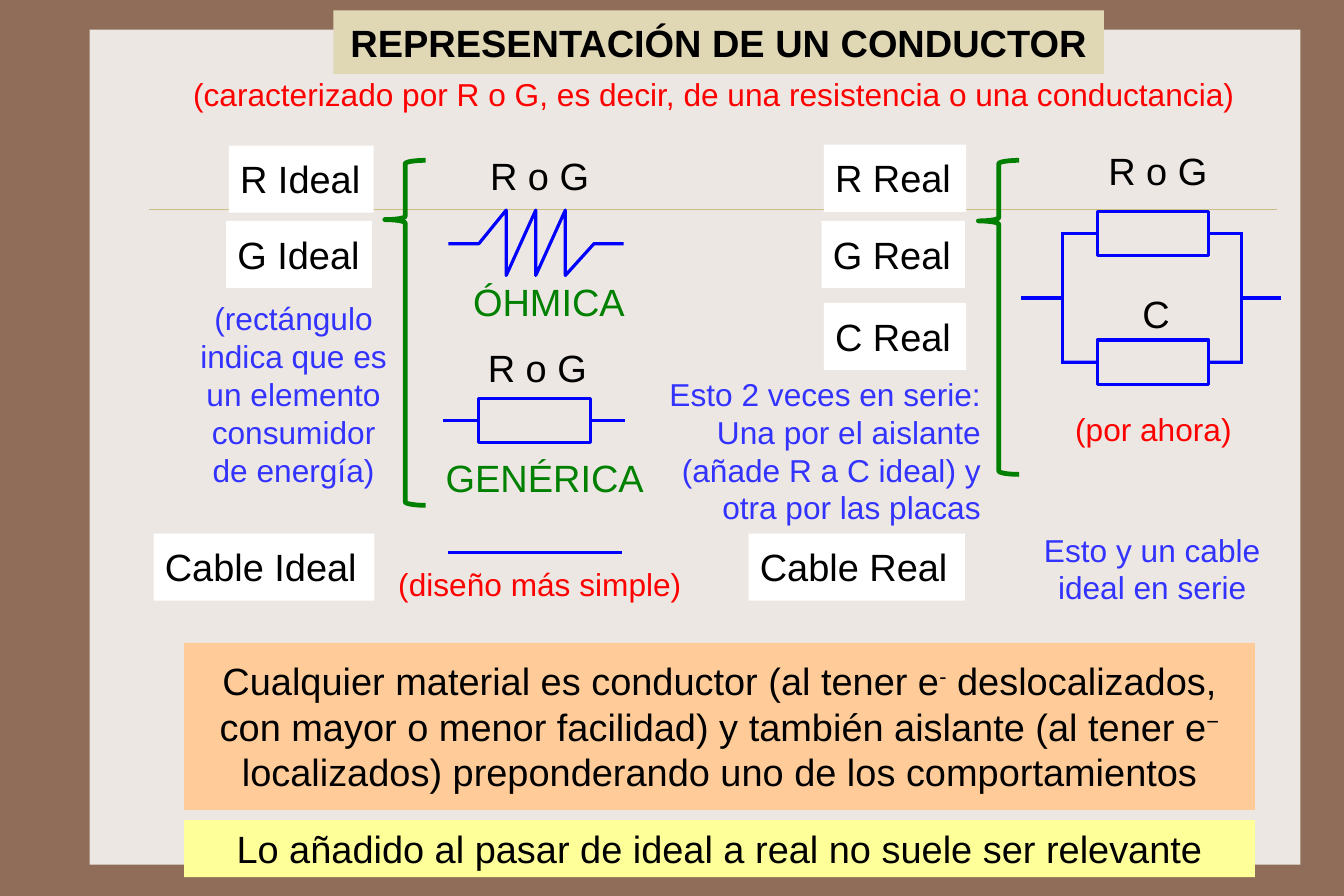
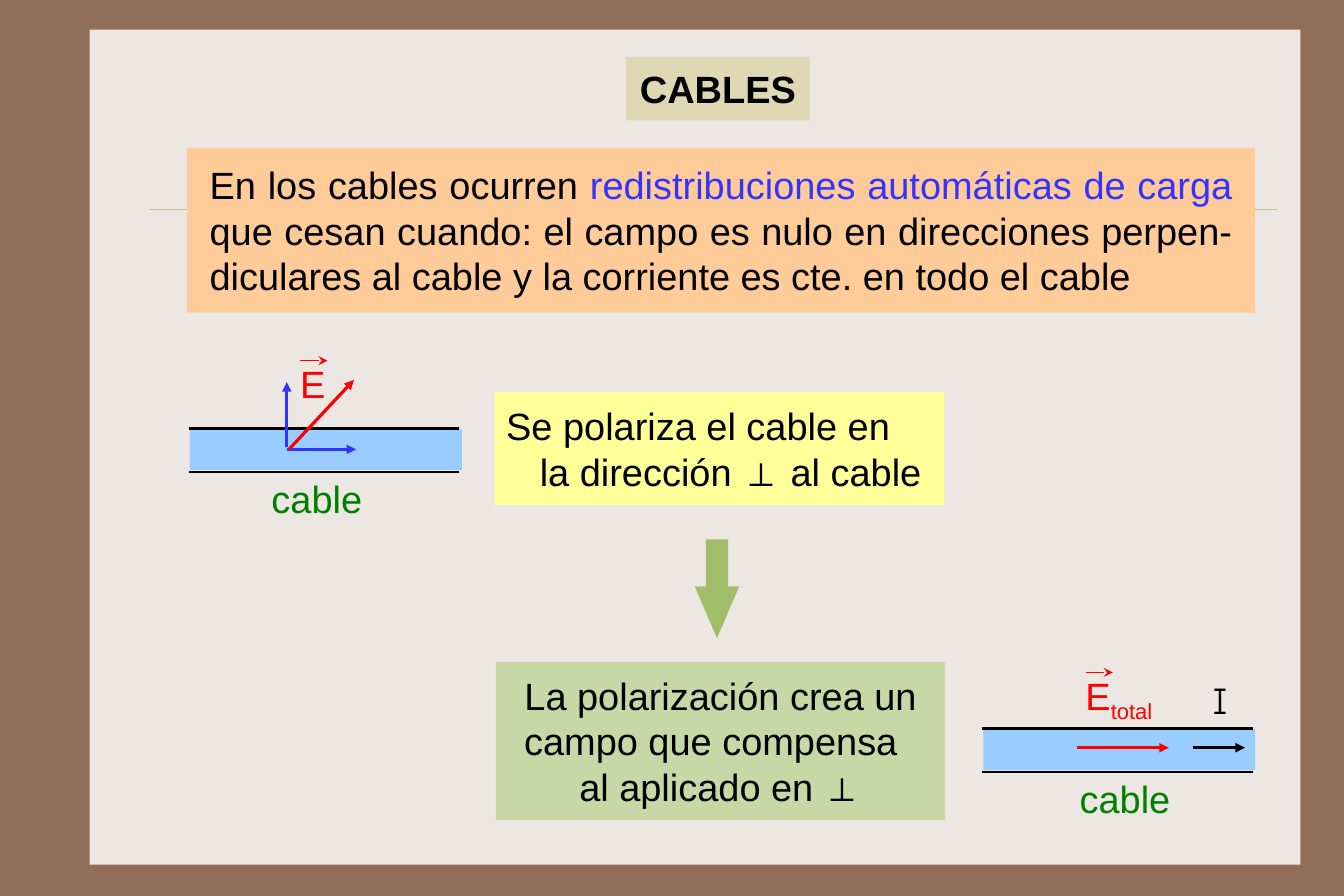
from dataclasses import dataclass
from typing import Optional

from lxml import etree
from pptx import Presentation
from pptx.dml.color import RGBColor
from pptx.enum.shapes import MSO_CONNECTOR, MSO_SHAPE
from pptx.enum.text import MSO_ANCHOR, MSO_AUTO_SIZE, PP_ALIGN
from pptx.oxml.ns import qn
from pptx.util import Cm, Pt

RECT, BRACE, DOWN_ARROW = MSO_SHAPE.RECTANGLE, MSO_SHAPE.LEFT_BRACE, MSO_SHAPE.DOWN_ARROW
STRAIGHT = MSO_CONNECTOR.STRAIGHT
LEFT, CENTER, RIGHT, JUSTIFY = PP_ALIGN.LEFT, PP_ALIGN.CENTER, PP_ALIGN.RIGHT, PP_ALIGN.JUSTIFY
TOP, MIDDLE = MSO_ANCHOR.TOP, MSO_ANCHOR.MIDDLE
LEFT_SIDE, RIGHT_SIDE = 1, 3

FRAME, PANEL, RULE, TITLE_BAND = "906D58", "EDE7E3", "CBBD83", "E0D7B5"
BLACK, WHITE, RED, GREEN = "000000", "FFFFFF", "FF0000", "008000"
WIRE, NOTE, WATER = "0000FF", "3333FF", "99CCFF"
ORANGE, YELLOW, PALE_GREEN, ARROW_GREEN = "FFCC99", "FFFF99", "C7D7A5", "A1BD69"
TEXT_INS, TIGHT_INS, TITLE_INS = (0.25, 0.23), (0.25, 0.13), (0.3, 0.2)
LINE_H = {24: 1.5, 20: 1.32}
SLIDE_W, SLIDE_H = 30, 20


@dataclass
class Run:
    text: str
    color: Optional[str] = None
    baseline: int = 0


@dataclass
class Para:
    runs: list[Run]
    align: Optional[PP_ALIGN] = None
    indent: float = 0


@dataclass
class Label:
    text: str
    x: float
    y: float
    w: float
    color: str = BLACK
    size: int = 24
    fill: Optional[str] = None


def rgb(color: str) -> RGBColor:
    return RGBColor.from_string(color)


def as_paras(text) -> list[Para]:
    """Accept a string (one paragraph a line), a list of runs or a list of paragraphs."""
    if isinstance(text, str):
        return [Para([Run(line)]) for line in text.split("\n")]
    return [Para(text)] if isinstance(text[0], Run) else text


def write(sp, text, *, size=24, color=BLACK, font="Arial", bold=False, align=LEFT,
          anchor=TOP, ins=TEXT_INS, wrap=False) -> None:
    tf = sp.text_frame
    tf.auto_size, tf.word_wrap, tf.vertical_anchor = MSO_AUTO_SIZE.NONE, wrap, anchor
    tf.margin_left = tf.margin_right = Cm(ins[0])
    tf.margin_top = tf.margin_bottom = Cm(ins[1])
    for i, para in enumerate(as_paras(text)):
        p = tf.add_paragraph() if i else tf.paragraphs[0]
        p.alignment = para.align or align
        p.space_before = Pt(0)
        if para.indent:
            pPr = p._p.get_or_add_pPr()
            pPr.set("marL", str(Cm(para.indent)))
            pPr.set("indent", "0")
        for run in para.runs:
            r = p.add_run()
            r.text = run.text
            r.font.size, r.font.name, r.font.bold = Pt(size), font, bold
            r.font.color.rgb = rgb(run.color or color)
            if run.baseline:
                r._r.get_or_add_rPr().set("baseline", str(run.baseline * 1000))


def paint(sp, fill=None, line=None, width=2.0) -> None:
    sp.shadow.inherit = False
    if fill:
        sp.fill.solid()
        sp.fill.fore_color.rgb = rgb(fill)
    else:
        sp.fill.background()
    if line:
        sp.line.color.rgb = rgb(line)
        sp.line.width = Pt(width)
    else:
        sp.line.fill.background()


def add_shape(s, kind, x, y, w, h, *, adj=(), **look):
    sp = s.shapes.add_shape(kind, Cm(x), Cm(y), Cm(w), Cm(h))
    for i, value in enumerate(adj):
        sp.adjustments[i] = value
    paint(sp, **look)
    return sp


def add_text(s, text, x, y, w, h, *, fill=None, **fmt) -> None:
    if fill:
        sp = add_shape(s, RECT, x, y, w, h, fill=fill)
    else:
        sp = s.shapes.add_textbox(Cm(x), Cm(y), Cm(w), Cm(h))
    write(sp, text, **fmt)


def add_labels(s, labels: list[Label]) -> None:
    for lb in labels:
        add_text(s, lb.text, lb.x, lb.y, lb.w, LINE_H[lb.size],
                 size=lb.size, color=lb.color, fill=lb.fill)


def add_line(s, x1, y1, x2, y2, color, width=2.0, tail=None):
    c = s.shapes.add_connector(STRAIGHT, Cm(x1), Cm(y1), Cm(x2), Cm(y2))
    c.line.color.rgb = rgb(color)
    c.line.width = Pt(width)
    spPr = c._element.spPr
    if tail:
        etree.SubElement(spPr.find(qn("a:ln")), qn("a:tailEnd"), type=tail)
    etree.SubElement(spPr, qn("a:effectLst"))
    return c


def add_frame(s) -> None:
    """Put the background, panel and rule on the layout that the slides share."""
    layout = s.slide_layout
    layout.background.fill.solid()
    layout.background.fill.fore_color.rgb = rgb(FRAME)
    panel = add_shape(s, RECT, 2, 0.66, 27.03, 18.64, fill=PANEL)
    rule = add_line(s, 3.33, 4.67, 28.5, 4.67, RULE, 0.25)
    for i, sp in enumerate((panel, rule)):
        layout.shapes.element.insert(2 + i, sp._element)


def add_title(s, text: str, x, y, w) -> None:
    sp = s.shapes.title
    sp.left, sp.top, sp.width, sp.height = Cm(x), Cm(y), Cm(w), Cm(1.42)
    sp.fill.solid()
    sp.fill.fore_color.rgb = rgb(TITLE_BAND)
    write(sp, text, bold=True, align=CENTER, anchor=MIDDLE, ins=TITLE_INS)


def add_resistor(s, x, y, wire_left, wire_right) -> float:
    """Draw a box with a lead on each side; return the height of the leads."""
    w, h = 2.49, 0.99
    box = add_shape(s, RECT, x, y, w, h, fill=PANEL, line=WIRE)
    mid = y + h / 2
    for side, start, end in ((LEFT_SIDE, x, wire_left), (RIGHT_SIDE, x + w, wire_right)):
        add_line(s, start, mid, end, mid, WIRE).begin_connect(box, side)
    return mid


def add_zigzag(s) -> None:
    axis, top, bottom = 5.44, 4.69, 6.15
    points = [(10.69, axis)]
    for i in range(3):
        x = 11.3 + 0.66 * i
        points += [(x, top), (x, bottom)]
    points += [(13.26, axis), (13.92, axis)]
    fb = s.shapes.build_freeform(Cm(10.01), Cm(axis))
    fb.add_line_segments([(Cm(x), Cm(y)) for x, y in points], close=False)
    paint(fb.convert_to_shape(), line=WIRE)


def add_parallel_circuit(s) -> None:
    left, right, overlap = 23.72, 27.71, 0.03
    upper, lower = (add_resistor(s, 24.49, y, left, right) for y in (4.72, 7.59))
    mid = (upper + lower) / 2
    for bus, end in ((left, 22.78), (right, 28.6)):
        add_line(s, bus, upper - overlap, bus, lower + overlap, WIRE)
        add_line(s, bus, mid, end, mid, WIRE)


def add_cable(s, x, y, label_dx) -> None:
    add_shape(s, RECT, x, y, 6.07, 0.91, fill=WATER)
    for dy in (-0.04, -0.01, 0.95):
        add_line(s, x - 0.03, y + dy, x + 6.01, y + dy, BLACK, 1)
    add_text(s, "cable", x + label_dx, y + 0.9, 2.57, 1.27, color=GREEN, ins=TIGHT_INS)


def add_vector_name(s, runs: list[Run], x, y, w) -> None:
    add_text(s, runs, x, y, w, LINE_H[24], color=RED)
    add_line(s, x + 0.25, y + 0.23, x + 0.86, y + 0.23, RED, 1, "stealth")


def conductor_slide(s) -> None:
    add_title(s, "REPRESENTACIÓN DE UN CONDUCTOR", 7.44, 0.23, 17.2)
    add_text(s, [Run("Cualquier material es conductor (al tener e"), Run("-", baseline=30),
                 Run(" deslocalizados, con mayor o menor facilidad) y también aislante (al tener e"),
                 Run("−", baseline=30),
                 Run(" localizados) preponderando uno de los comportamientos")],
             4.11, 14.35, 23.9, 3.73, fill=ORANGE, align=CENTER, ins=(0.25, 0.33), wrap=True)
    add_text(s, "Lo añadido al pasar de ideal a real no suele ser relevante",
             4.11, 18.31, 23.9, 1.27, fill=YELLOW, align=CENTER, anchor=MIDDLE,
             ins=TIGHT_INS, wrap=True)
    add_zigzag(s)
    add_resistor(s, 10.69, 8.89, 9.88, 13.94)
    add_line(s, 10.01, 12.34, 13.89, 12.34, WIRE)
    add_parallel_circuit(s)
    for x, h, tip in ((8.59, 7.7, 0.172), (21.84, 7.01, 0.193)):
        add_shape(s, BRACE, x, 3.58, 0.91, h, adj=(0.083, tip), line=GREEN, width=3)
    add_labels(s, [
        Label("R Ideal", 5.11, 3.25, 3.23, fill=WHITE),
        Label("G Ideal", 5.05, 4.93, 3.25, fill=WHITE),
        Label("Cable Ideal", 3.43, 11.91, 4.93, fill=WHITE),
        Label("R Real", 18.39, 3.23, 3.18, fill=WHITE),
        Label("G Real", 18.34, 4.93, 3.2, fill=WHITE),
        Label("C Real", 18.39, 6.76, 3.18, fill=WHITE),
        Label("Cable Real", 16.71, 11.91, 4.83, fill=WHITE),
        Label("R o G", 10.69, 3.18, 2.74),
        Label("R o G", 10.64, 7.47, 2.74),
        Label("R o G", 24.49, 3.07, 2.74),
        Label("C", 25.25, 6.25, 1.12),
        Label("ÓHMICA", 10.31, 5.99, 3.94, GREEN),
        Label("GENÉRICA", 9.7, 9.91, 4.98, GREEN),
        Label("(por ahora)", 23.75, 8.92, 4.01, RED, 20),
        Label("(diseño más simple)", 8.64, 12.37, 6.88, RED, 20),
        Label("(caracterizado por R o G, es decir, de una resistencia o una conductancia)",
              4.06, 1.45, 23.93, RED, 20),
    ])
    note = dict(size=20, color=NOTE, wrap=True)
    add_text(s, "(rectángulo indica que es un elemento consumidor de energía)",
             4.14, 6.45, 4.83, 4.75, align=CENTER, **note)
    add_text(s, "Esto 2 veces en serie:\nUna por el aislante\n(añade R a C ideal) y\n"
             "otra por las placas", 14.63, 8.13, 7.52, 3.89, align=RIGHT, **note)
    add_text(s, "Esto y un cable ideal en serie", 22.71, 11.61, 6.02, 2.18,
             align=CENTER, **note)


def cables_slide(s) -> None:
    add_title(s, "CABLES", 13.97, 1.27, 4.11)
    add_text(s, [Run("En los cables ocurren "),
                 Run("redistribuciones automáticas de carga", NOTE),
                 Run(" que cesan cuando: el campo es nulo en direcciones perpen-diculares"
                     " al cable y la corriente es cte. en todo el cable")],
             4.17, 3.3, 23.85, 3.68, fill=ORANGE, align=JUSTIFY, anchor=MIDDLE,
             ins=(0.51, 0.3), wrap=True)
    add_text(s, [Para([Run("Se polariza el cable en")]),
                 Para([Run("la dirección ⊥ al cable")], indent=0.75)],
             11.05, 8.76, 10.03, 2.51, fill=YELLOW, wrap=True)
    add_shape(s, DOWN_ARROW, 15.51, 12.04, 0.99, 2.21, adj=(0.5, 1.169), fill=ARROW_GREEN)
    add_text(s, [Para([Run("La polarización crea un")]),
                 Para([Run("campo que compensa")], LEFT, 0.38),
                 Para([Run("al aplicado en ⊥")])],
             11.07, 14.78, 10.03, 3.53, fill=PALE_GREEN, align=CENTER, wrap=True)
    add_cable(s, 4.24, 9.58, 1.57)
    add_cable(s, 21.95, 16.28, 1.9)
    for x1, y1, x2, y2, color in (
        (6.4, 10.03, 7.95, 10.03, NOTE),
        (6.4, 9.98, 6.4, 8.53, NOTE),
        (6.45, 10.03, 7.9, 8.48, RED),
        (24.03, 16.69, 26.09, 16.69, RED),
        (26.62, 16.69, 27.79, 16.69, BLACK),
    ):
        add_line(s, x1, y1, x2, y2, color, tail="triangle")
    add_vector_name(s, [Run("E")], 6.45, 7.82, 1.07)
    add_vector_name(s, [Run("E"), Run("total", baseline=-25)], 23.98, 14.78, 2.16)
    add_text(s, "I", 26.82, 14.88, 0.97, LINE_H[24], font="Comic Neue")


def main() -> None:
    prs = Presentation()
    prs.slide_width, prs.slide_height = Cm(SLIDE_W), Cm(SLIDE_H)
    title_only = prs.slide_layouts[5]
    first, second = (prs.slides.add_slide(title_only) for _ in range(2))
    add_frame(first)
    conductor_slide(first)
    cables_slide(second)
    prs.save("out.pptx")


if __name__ == "__main__":
    main()
